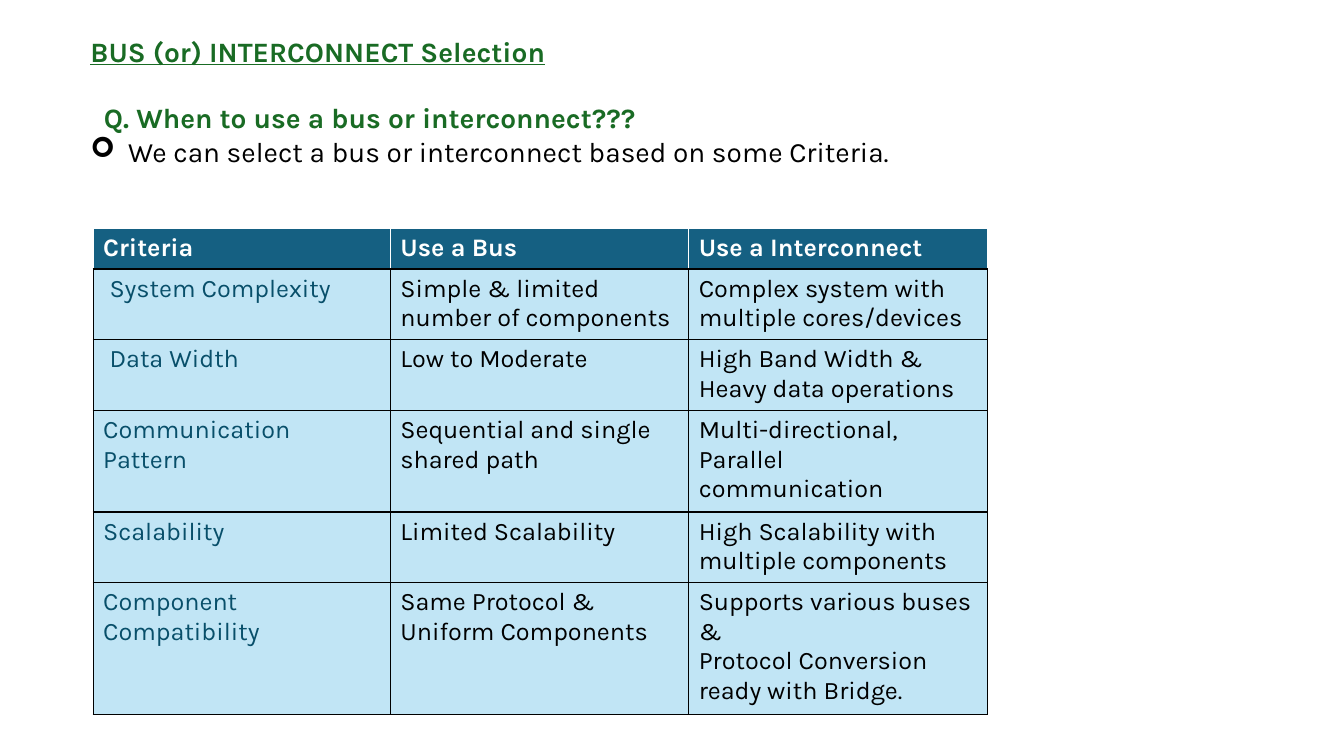
"""Build the slide on choosing a bus or an interconnect."""
from dataclasses import dataclass

from lxml import etree
from pptx import Presentation
from pptx.dml.color import RGBColor
from pptx.enum.text import MSO_ANCHOR
from pptx.oxml.ns import qn
from pptx.util import Cm, Pt

TOP = MSO_ANCHOR.TOP


@dataclass(frozen=True)
class Theme:
    """Colours, type sizes and font of the slide."""
    font: str = "Karla"
    green: str = "196B24"
    black: str = "000000"
    white: str = "FFFFFF"
    navy: str = "156082"
    teal: str = "084F6A"
    pale: str = "C1E5F5"
    head: int = 20
    body: int = 18


@dataclass(frozen=True)
class Line:
    """One paragraph of the heading box."""
    text: str
    color: str
    bold: bool = True
    under: bool = False
    gap: float = 0
    left: float = 0
    bullet: str = ""


@dataclass(frozen=True)
class Row:
    """One table row, with its height and the inset of its first cell."""
    height: float
    texts: tuple[str, str, str]
    inset: float = 0.25


THEME = Theme()
LINES = (
    Line("BUS (or) INTERCONNECT Selection", THEME.green, under=True),
    Line("Q. When to use a bus or interconnect???", THEME.green, gap=23.5, left=0.34),
    Line("We can select a bus or interconnect based on some Criteria.",
         THEME.black, bold=False, left=0.95, bullet="➢"),
)
WIDTHS = (7.49, 7.52, 7.52)
ROWS = (
    Row(1.03, ("Criteria", "Use a Bus", "Use a Interconnect")),
    Row(1.78, ("System Complexity", "Simple & limited number of components",
               "Complex system with multiple cores/devices"), 0.41),
    Row(1.78, ("Data Width", "Low to Moderate",
               "High Band Width & Heavy data operations"), 0.41),
    Row(2.56, ("Communication\vPattern", "Sequential and single shared path",
               "Multi-directional, Parallel\ncommunication")),
    Row(1.78, ("Scalability", "Limited Scalability",
               "High Scalability with multiple components")),
    Row(3.32, ("Component Compatibility", "Same Protocol & Uniform Components",
               "Supports various buses &\nProtocol Conversion ready with Bridge.")),
)


def style(para, size: int, color: str, bold: bool, under: bool = False) -> None:
    """Format every run of a paragraph."""
    for run in para.runs:
        font = run.font
        font.name = THEME.font
        font.size = Pt(size)
        font.bold = bold
        font.underline = under
        font.color.rgb = RGBColor.from_string(color)


def indent(para, left: float, bullet: str) -> None:
    """Indent a paragraph and hang its bullet, if it has one."""
    props = para._p.get_or_add_pPr()
    props.set("marL", str(Cm(left)))
    if bullet:
        props.set("indent", str(-Cm(left)))
        etree.SubElement(props, qn("a:buFont"), typeface="Wingdings")
        etree.SubElement(props, qn("a:buChar"), char=bullet)


def border(cell, sides: dict[str, str]) -> None:
    """Draw one-point borders in the colour given for each side."""
    props = cell._tc.get_or_add_tcPr()
    for side, color in sides.items():
        edge = etree.SubElement(props, qn(f"a:ln{side}"), w=str(Pt(1)))
        fill = etree.SubElement(edge, qn("a:solidFill"))
        etree.SubElement(fill, qn("a:srgbClr"), val=color)


def draw_head(slide, lines: tuple[Line, ...]) -> None:
    """Add the heading box."""
    frame = slide.shapes.add_textbox(Cm(2.03), Cm(0.74), Cm(31.5), Cm(4.52)).text_frame
    frame.word_wrap = True
    frame.text = "\n".join(line.text for line in lines)
    for para, line in zip(frame.paragraphs, lines):
        para.space_before = Pt(line.gap)
        indent(para, line.left, line.bullet)
        style(para, THEME.head, line.color, line.bold, line.under)


def draw_cell(cell, text: str, head: bool, first: bool, inset: float) -> None:
    """Fill in one table cell."""
    edge = THEME.white if head else THEME.black
    border(cell, {"L": edge, "R": edge, "T": edge, "B": THEME.black})
    cell.fill.solid()
    cell.fill.fore_color.rgb = RGBColor.from_string(THEME.navy if head else THEME.pale)
    cell.vertical_anchor = TOP
    cell.margin_left = Cm(inset if first else 0.25)
    cell.text_frame.text = text
    color = THEME.white if head else THEME.teal if first else THEME.black
    for para in cell.text_frame.paragraphs:
        style(para, THEME.body, color, head)


def draw_table(slide, rows: tuple[Row, ...], widths: tuple[float, ...]) -> None:
    """Add the table of criteria."""
    high = sum(row.height for row in rows)
    table = slide.shapes.add_table(len(rows), len(widths), Cm(2.35), Cm(5.75),
                                   Cm(sum(widths)), Cm(high)).table
    for col, width in zip(table.columns, widths):
        col.width = Cm(width)
    for r, row in enumerate(rows):
        table.rows[r].height = Cm(row.height)
        for c, text in enumerate(row.texts):
            draw_cell(table.cell(r, c), text, r == 0, c == 0, row.inset)


def main() -> None:
    """Build and save the slide."""
    deck = Presentation()
    deck.slide_width, deck.slide_height = Cm(33.87), Cm(19.05)
    slide = deck.slides.add_slide(deck.slide_layouts[6])
    draw_head(slide, LINES)
    draw_table(slide, ROWS, WIDTHS)
    deck.save("out.pptx")


if __name__ == "__main__":
    main()
